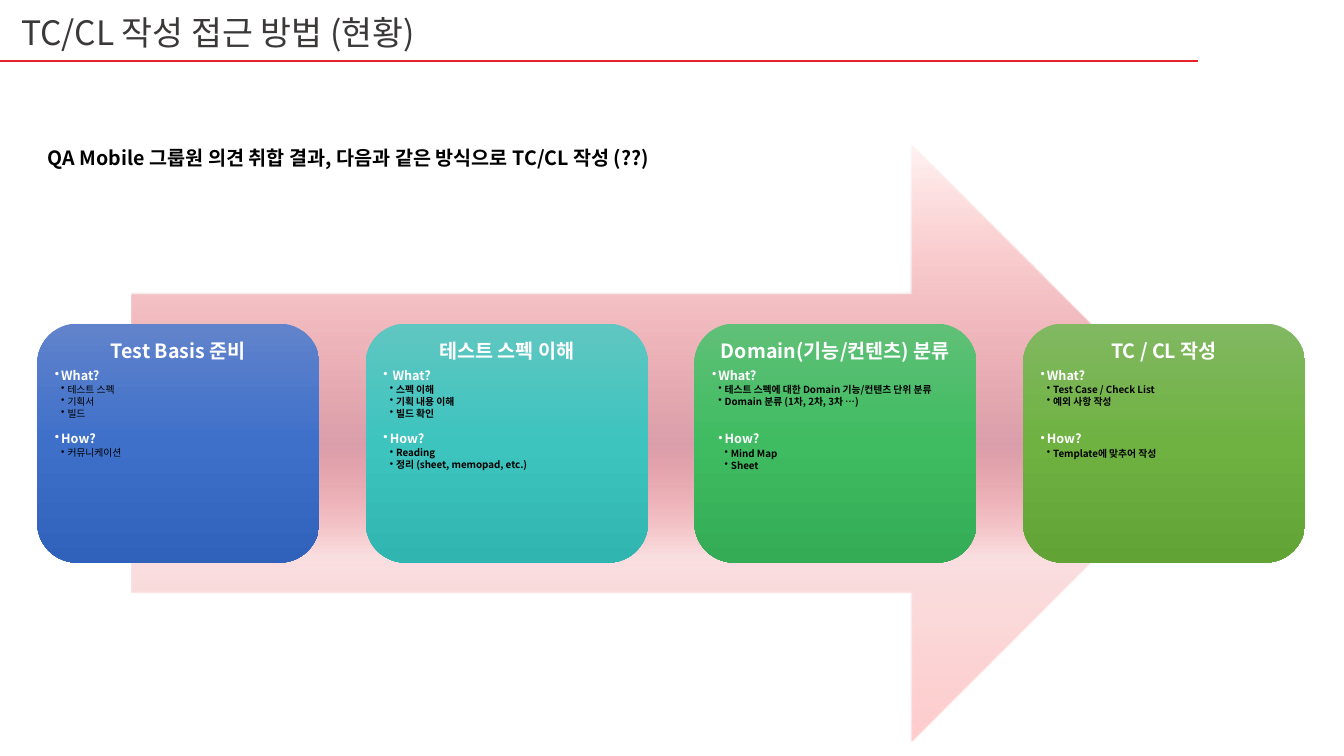
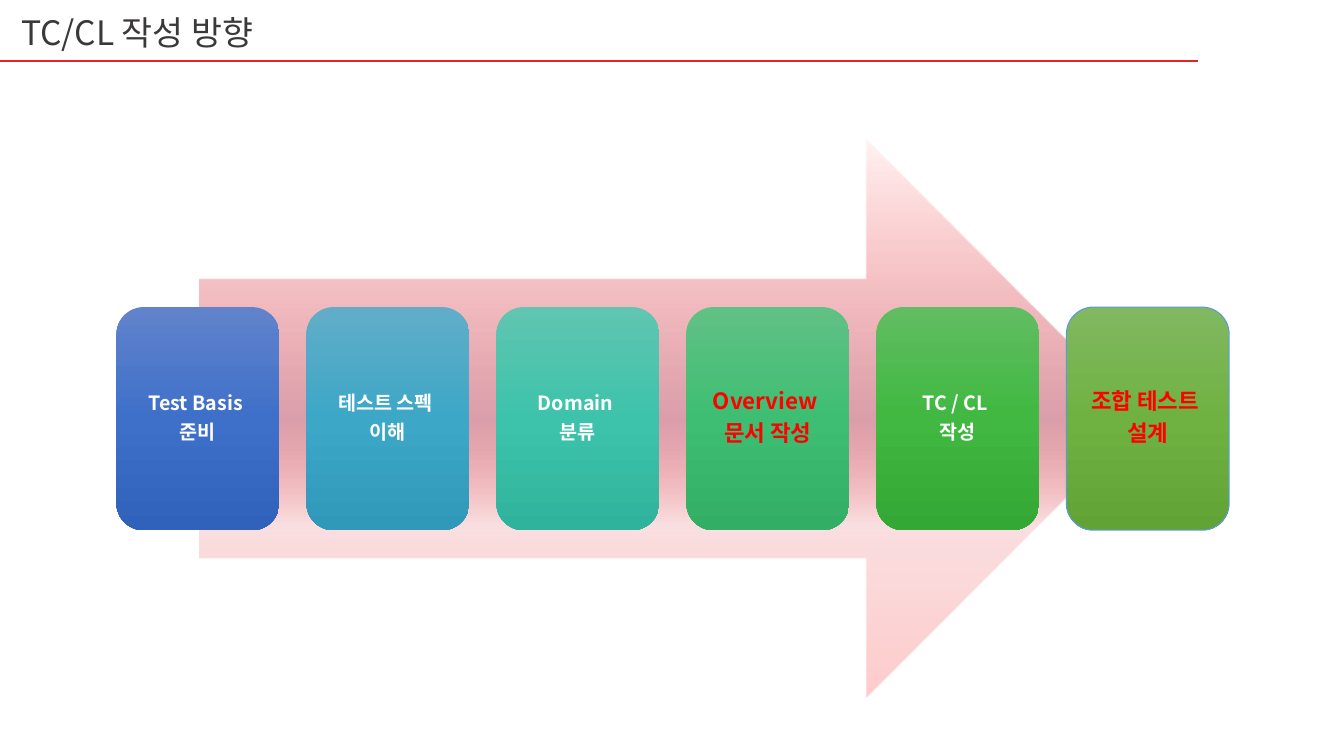
"""Build two slides on how test cases and check lists are written."""
import pptx
import pptx.util
import pptx.dml.color
import pptx.enum.shapes
import pptx.enum.text
import pptx.oxml.ns
import lxml.etree

Pt = pptx.util.Pt
RGB = pptx.dml.color.RGBColor
SHAPE = pptx.enum.shapes.MSO_SHAPE
ALIGN = pptx.enum.text.PP_ALIGN
ANCHOR = pptx.enum.text.MSO_ANCHOR
qn = pptx.oxml.ns.qn

FONT = "Noto Sans CJK KR"
WHITE = RGB(0xFF, 0xFF, 0xFF)
BLACK = RGB(0, 0, 0)
RED = RGB(0xFF, 0, 0)
RULE = RGB(0xE6, 0x24, 0x27)
GREY = RGB(0x3B, 0x38, 0x38)
EDGE = RGB(0x5B, 0x9B, 0xD5)


def shade(*tones):
    """Return three solid stops, top to bottom."""
    return [(at, RGB.from_string(tone), 100) for at, tone in zip((0, 50, 100), tones)]


BLUE = shade("6183CB", "3E70CA", "3062BB")
OLIVE = shade("81B861", "6FB242", "62A336")
PINK = [
    (0, RGB(0xD8, 0xDD, 0xEE), 100),
    (0, RGB(0xFF, 0x82, 0x82), 10),
    (50, RGB(0xDA, 0x9F, 0xAB), 100),
    (69, RGB(0xE8, 0x63, 0x6B), 20),
    (100, RED, 20),
]

LEAD = "QA Mobile 그룹원 의견 취합 결과, 다음과 같은 방식으로 TC/CL 작성 (??)"
LINE = 0.9
STEP = 4.5
BLANK = 8.6

CARDS = [
    ("Test Basis 준비", BLUE, False, 1, [
        (1, "What?", ["테스트 스펙", "기획서", "빌드"]),
        (1, "How?", ["커뮤니케이션"])]),
    ("테스트 스펙 이해", shade("60C6C1", "3DC4BF", "30B5B0"), True, 1, [
        (1, " What?", ["스펙 이해", "기획 내용 이해", "빌드 확인"]),
        (1, "How?", ["Reading", "정리 (sheet, memopad, etc.)"])]),
    ("Domain(기능/컨텐츠) 분류", shade("60C077", "3FBC62", "33AC55"), True, 2, [
        (1, "What?", ["테스트 스펙에 대한 Domain 기능/컨텐츠 단위 분류",
                      "Domain 분류 (1차, 2차, 3차 …)"]),
        (2, "How?", ["Mind Map", "Sheet"])]),
    ("TC / CL 작성", OLIVE, True, 2, [
        (1, "What?", ["Test Case / Check List", "예외 사항 작성"]),
        (1, "How?", ["Template에 맞추어 작성"])]),
]

STAGES = [
    (("Test Basis ", "준비"), BLUE, False),
    (("테스트 스펙 ", "이해"), shade("61ADC8", "3DA7C7", "3098B8"), False),
    (("Domain ", "분류"), shade("60C5B1", "3DC3AB", "30B39C"), False),
    (("Overview ", "문서 작성"), shade("60C184", "3EBE73", "32AE65"), True),
    (("TC / CL ", "작성"), shade("61BD61", "40B841", "34A835"), False),
    (("조합 테스트 ", "설계"), OLIVE, True),
]


def write(para, text, size, tint, bold=False):
    run = para.add_run()
    run.text = text
    font = run.font
    font.name, font.size, font.bold = FONT, Pt(size), bold
    font.color.rgb = tint
    east = lxml.etree.Element(qn("a:ea"), typeface=FONT)
    font._element.find(qn("a:latin")).addnext(east)


def blend(shape, stops):
    shape.fill.gradient()
    shape.fill.gradient_angle = 270
    listing = shape._element.spPr.find(qn("a:gradFill")).find(qn("a:gsLst"))
    for old in list(listing):
        listing.remove(old)
    for at, tone, solid in stops:
        stop = lxml.etree.SubElement(listing, qn("a:gs"), pos=str(at * 1000))
        tint = lxml.etree.SubElement(stop, qn("a:srgbClr"), val=str(tone))
        if solid < 100:
            lxml.etree.SubElement(tint, qn("a:alpha"), val=str(solid * 1000))


def draw(slide, kind, area, stops):
    shape = slide.shapes.add_shape(kind, *map(Pt, area))
    shape.shadow.inherit = False
    shape.line.fill.background()
    blend(shape, stops)
    return shape


def start(deck, title):
    slide = deck.slides.add_slide(deck.slide_layouts[5])
    rule = slide.shapes.add_connector(
        pptx.enum.shapes.MSO_CONNECTOR.STRAIGHT, Pt(0), Pt(43.4), Pt(855.4), Pt(43.4))
    rule.line.color.rgb = RULE
    rule.line.width = Pt(1.5)
    lxml.etree.SubElement(rule._element.spPr, qn("a:effectLst"))
    head = slide.shapes.title
    head.left, head.top, head.width, head.height = map(Pt, (8, 6, 461, 37.5))
    frame = head.text_frame
    frame.auto_size = pptx.enum.text.MSO_AUTO_SIZE.NONE
    frame.vertical_anchor = ANCHOR.MIDDLE
    para = frame.paragraphs[0]
    para.alignment, para.line_spacing = ALIGN.LEFT, LINE
    write(para, title, 24, GREY)
    return slide


def flow(slide, arrow, left, step, width, stops):
    """Draw the arrow and a row of cards centred on it."""
    draw(slide, SHAPE.RIGHT_ARROW, arrow, PINK)
    high = 0.4 * arrow[3]
    top = arrow[1] + (arrow[3] - high) / 2
    return [draw(slide, SHAPE.ROUNDED_RECTANGLE, (left + i * step, top, width, high), tones)
            for i, tones in enumerate(stops)]


def inset(card, anchor, gap):
    frame = card.text_frame
    frame.word_wrap = True
    frame.vertical_anchor = anchor
    frame.margin_left = frame.margin_right = frame.margin_top = frame.margin_bottom = Pt(gap)
    return frame


def add(frame, text, size, tint, bold, after, level=0, before=0):
    first = frame.paragraphs[0]
    para = frame.add_paragraph() if first.runs else first
    if level:
        props = para._p.get_or_add_pPr()
        props.set("marL", str(Pt(STEP * level)))
        props.set("indent", str(-Pt(STEP)))
        lxml.etree.SubElement(props, qn("a:buChar"), char="•")
    para.alignment = ALIGN.LEFT if level else ALIGN.CENTER
    para.line_spacing = LINE
    para.space_after = Pt(round(size * after, 2))
    if before:
        para.space_before = Pt(before)
    write(para, text, size, tint, bold)


def present(deck):
    slide = start(deck, "TC/CL 작성 접근 방법 (현황)")
    cards = flow(slide, (94, 103, 770.4, 427), 26.6, 234.7, 201.6, [c[1] for c in CARDS])
    for card, (head, _, bold, blanks, parts) in zip(cards, CARDS):
        frame = inset(card, ANCHOR.TOP, 4.3)
        add(frame, head, 14, WHITE, True, 0.35)
        for i, (level, name, items) in enumerate(parts):
            add(frame, name, 9, WHITE, True, 0.15, level, i * blanks * BLANK)
            for item in items:
                add(frame, item, 7, BLACK, bold, 0.15, level + 1)
    box = slide.shapes.add_textbox(Pt(27), Pt(101), Pt(500), Pt(24))
    box.text_frame.word_wrap = True
    write(box.text_frame.paragraphs[0], LEAD, 14, BLACK, True)


def propose(deck):
    slide = start(deck, "TC/CL 작성 방향")
    cards = flow(slide, (142.4, 99.8, 675.4, 398.5), 83.2, 135.7, 116.3, [s[1] for s in STAGES])
    for card, (lines, _, fresh) in zip(cards, STAGES):
        frame = inset(card, ANCHOR.MIDDLE, 4.8 if fresh else 4.3)
        for text in lines:
            add(frame, text, 16 if fresh else 14, RED if fresh else WHITE, True, 0.35)
    cards[-1].line.color.rgb = EDGE
    cards[-1].line.width = Pt(0.75)


def main():
    deck = pptx.Presentation()
    deck.slide_width, deck.slide_height = Pt(960), Pt(540)
    present(deck)
    propose(deck)
    deck.save("out.pptx")


if __name__ == "__main__":
    main()
